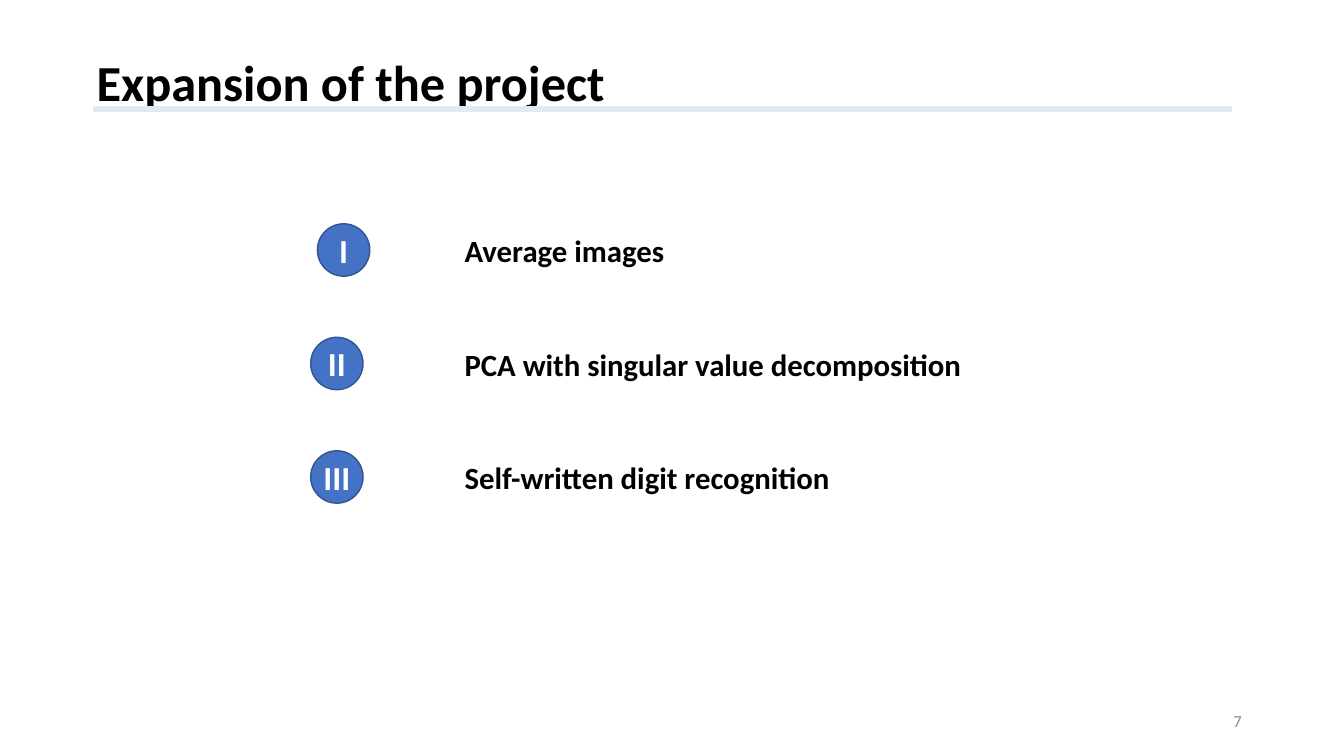
from lxml import etree
from pptx import Presentation
from pptx.dml.color import RGBColor
from pptx.enum.shapes import MSO_CONNECTOR, MSO_SHAPE
from pptx.enum.text import MSO_ANCHOR, MSO_AUTO_SIZE, PP_ALIGN
from pptx.oxml.ns import qn
from pptx.util import Cm, Pt

OVAL = MSO_SHAPE.OVAL
STRAIGHT = MSO_CONNECTOR.STRAIGHT
MIDDLE = MSO_ANCHOR.MIDDLE
NO_FIT = MSO_AUTO_SIZE.NONE
GROW = MSO_AUTO_SIZE.SHAPE_TO_FIT_TEXT
LEFT, CENTER, RIGHT = PP_ALIGN.LEFT, PP_ALIGN.CENTER, PP_ALIGN.RIGHT

BLACK = RGBColor(0x00, 0x00, 0x00)
WHITE = RGBColor(0xFF, 0xFF, 0xFF)
GRAY = RGBColor(0x8C, 0x8C, 0x8C)
BLUE = RGBColor(0x44, 0x72, 0xC4)
NAVY = RGBColor(0x32, 0x54, 0x91)
PALE = RGBColor(0xDE, 0xEB, 0xF7)

FONT = "Calibri"
TOP = 5.64
STEP = 2.86
TOPICS = [
    ("I", 8.0, "Average images", 5.59),
    ("II", 7.83, "PCA with singular value decomposition", 13.18),
    ("III", 7.83, "Self-written digit recognition", 9.83),
]


def write(frame, text, size, color, align=LEFT, bold=True):
    para = frame.paragraphs[0]
    para.alignment = align
    run = para.add_run()
    run.text = text
    run.font.name = FONT
    run.font.size = Pt(size)
    run.font.bold = bold
    run.font.color.rgb = color
    return para


def add_title(slide, text):
    title = slide.shapes.title
    title.left, title.top = Cm(2.18), Cm(1.02)
    title.width, title.height = Cm(29.21), Cm(2.24)
    frame = title.text_frame
    frame.auto_size = NO_FIT
    frame.vertical_anchor = MIDDLE
    write(frame, text, 36, BLACK).line_spacing = 0.9


def add_rule(slide):
    rule = slide.shapes.add_connector(
        STRAIGHT, Cm(2.34), Cm(2.74), Cm(31.04), Cm(2.74))
    rule.line.color.rgb = PALE
    rule.line.width = Pt(4.5)
    props = rule._element.find(qn("p:spPr"))
    etree.SubElement(props, qn("a:effectLst"))


def add_badge(slide, left, top, text):
    badge = slide.shapes.add_shape(
        OVAL, Cm(left), Cm(top), Cm(1.32), Cm(1.32))
    badge.shadow.inherit = False
    badge.fill.solid()
    badge.fill.fore_color.rgb = BLUE
    badge.line.color.rgb = NAVY
    badge.line.width = Pt(1)
    frame = badge.text_frame
    frame.margin_left = frame.margin_right = 0
    frame.margin_top = frame.margin_bottom = 0
    frame.word_wrap = False
    frame.vertical_anchor = MIDDLE
    write(frame, text, 24, WHITE, CENTER)


def add_label(slide, left, top, width, text):
    box = slide.shapes.add_textbox(Cm(left), Cm(top), Cm(width), Cm(1.19))
    frame = box.text_frame
    frame.word_wrap = False
    frame.auto_size = GROW
    write(frame, text, 22, BLACK)


def add_number(slide, text):
    box = slide.shapes.add_textbox(Cm(23.93), Cm(17.65), Cm(7.62), Cm(1.02))
    frame = box.text_frame
    frame.word_wrap = True
    frame.vertical_anchor = MIDDLE
    write(frame, text, 12, GRAY, RIGHT, False)


def main():
    deck = Presentation()
    deck.slide_width, deck.slide_height = Cm(33.87), Cm(19.05)
    slide = deck.slides.add_slide(deck.slide_layouts[5])
    add_title(slide, "Expansion of the project")
    add_number(slide, "7")
    add_rule(slide)
    for row, (mark, left, topic, width) in enumerate(TOPICS):
        top = TOP + row * STEP
        add_badge(slide, left, top, mark)
        add_label(slide, 11.46, top + 0.08, width, topic)
    deck.save("out.pptx")


if __name__ == "__main__":
    main()
